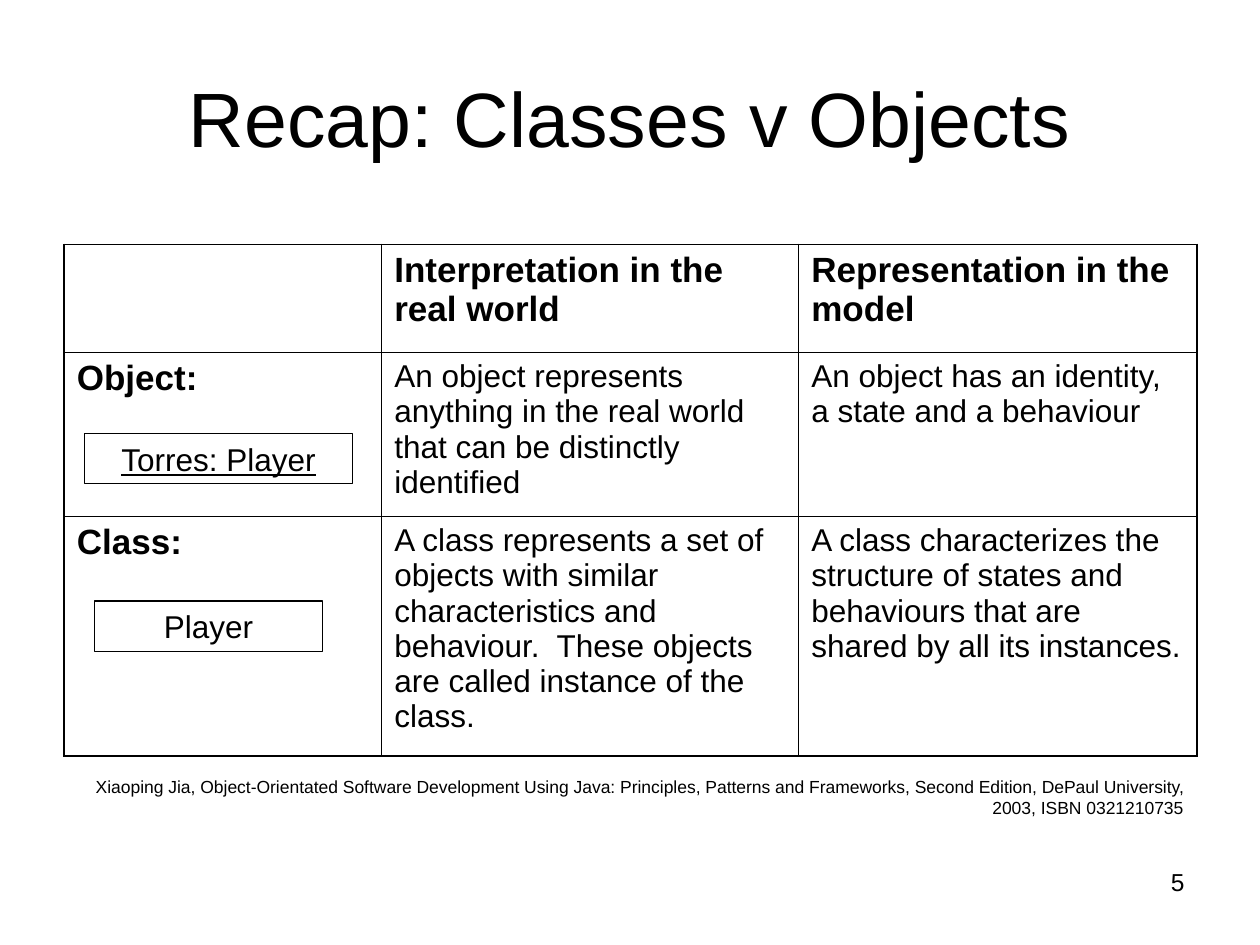
from pptx import Presentation
from pptx.dml.color import RGBColor
from pptx.enum.shapes import MSO_SHAPE
from pptx.enum.text import MSO_ANCHOR, PP_ALIGN
from pptx.oxml.ns import qn
from pptx.util import Inches, Pt
from lxml.etree import SubElement

INK = "000000"
COLS = [2.52, 3.31, 3.16]
ROWS = [0.86, 1.3, 1.9]
CELLS = [
    ["", "Interpretation in the real world", "Representation in the model"],
    ["Object:",
     "An object represents anything in the real world that can be distinctly identified",
     "An object has an identity, a state and a behaviour"],
    ["Class:",
     "A class represents a set of objects with similar characteristics and behaviour.  "
     "These objects are called instance of the class.",
     "A class characterizes the structure of states and behaviours that are shared "
     "by all its instances."],
]
SOURCE = ("Xiaoping Jia, Object-Orientated Software Development Using Java: Principles, "
          "Patterns and Frameworks, Second Edition, DePaul University, 2003, ISBN 0321210735")


def color(code):
    return RGBColor.from_string(code)


def write(frame, text, size, align=PP_ALIGN.LEFT, bold=False, line=False):
    frame.word_wrap = True
    frame.text = text
    para = frame.paragraphs[0]
    para.alignment = align
    for run in para.runs:
        font = run.font
        font.name = "Arial"
        font.size = Pt(size)
        font.bold = bold
        font.underline = line
        font.color.rgb = color(INK)


def add_text(slide, box, text, size, align, anchor=MSO_ANCHOR.TOP):
    frame = slide.shapes.add_textbox(*map(Inches, box)).text_frame
    frame.vertical_anchor = anchor
    write(frame, text, size, align)


def add_box(slide, box, text, line=False):
    shape = slide.shapes.add_shape(MSO_SHAPE.RECTANGLE, *map(Inches, box))
    shape.shadow.inherit = False
    shape.fill.background()
    shape.line.color.rgb = color(INK)
    shape.line.width = Pt(0.75)
    shape.text_frame.vertical_anchor = MSO_ANCHOR.TOP
    write(shape.text_frame, text, 18, PP_ALIGN.CENTER, line=line)


def set_edges(cell, outer):
    props = cell._tc.get_or_add_tcPr()
    for side, thick in zip("LRTB", outer):
        edge = SubElement(props, qn(f"a:ln{side}"), w=str(Pt(1.08 if thick else 0.45)))
        fill = SubElement(edge, qn("a:solidFill"))
        SubElement(fill, qn("a:srgbClr"), val=INK)


def add_grid(slide):
    table = slide.shapes.add_table(
        len(ROWS), len(COLS), Inches(0.51), Inches(1.94),
        Inches(sum(COLS)), Inches(sum(ROWS))).table
    table.first_row = table.horz_banding = False
    for col, width in zip(table.columns, COLS):
        col.width = Inches(width)
    for row, height in zip(table.rows, ROWS):
        row.height = Inches(height)
    for r, texts in enumerate(CELLS):
        for c, text in enumerate(texts):
            cell = table.cell(r, c)
            set_edges(cell, (c == 0, c == len(COLS) - 1, r == 0, r == len(ROWS) - 1))
            cell.fill.background()
            head = r == 0 or c == 0
            write(cell.text_frame, text, 20 if head else 18, bold=head)


def main():
    deck = Presentation()
    deck.slide_width = Inches(10)
    deck.slide_height = Inches(7.5)
    slide = deck.slides.add_slide(deck.slide_layouts[6])
    add_text(slide, (7.17, 6.83, 2.33, 0.52), "5", 14, PP_ALIGN.RIGHT)
    add_text(slide, (0.5, 0.3, 9, 1.25), "Recap: Classes v Objects", 44,
             PP_ALIGN.CENTER, MSO_ANCHOR.MIDDLE)
    add_grid(slide)
    add_text(slide, (0.56, 6.11, 8.93, 0.44), SOURCE, 10, PP_ALIGN.RIGHT)
    add_box(slide, (0.75, 4.77, 1.81, 0.4), "Player")
    add_box(slide, (0.67, 3.44, 2.13, 0.4), "Torres: Player", line=True)
    deck.save("out.pptx")


if __name__ == "__main__":
    main()
